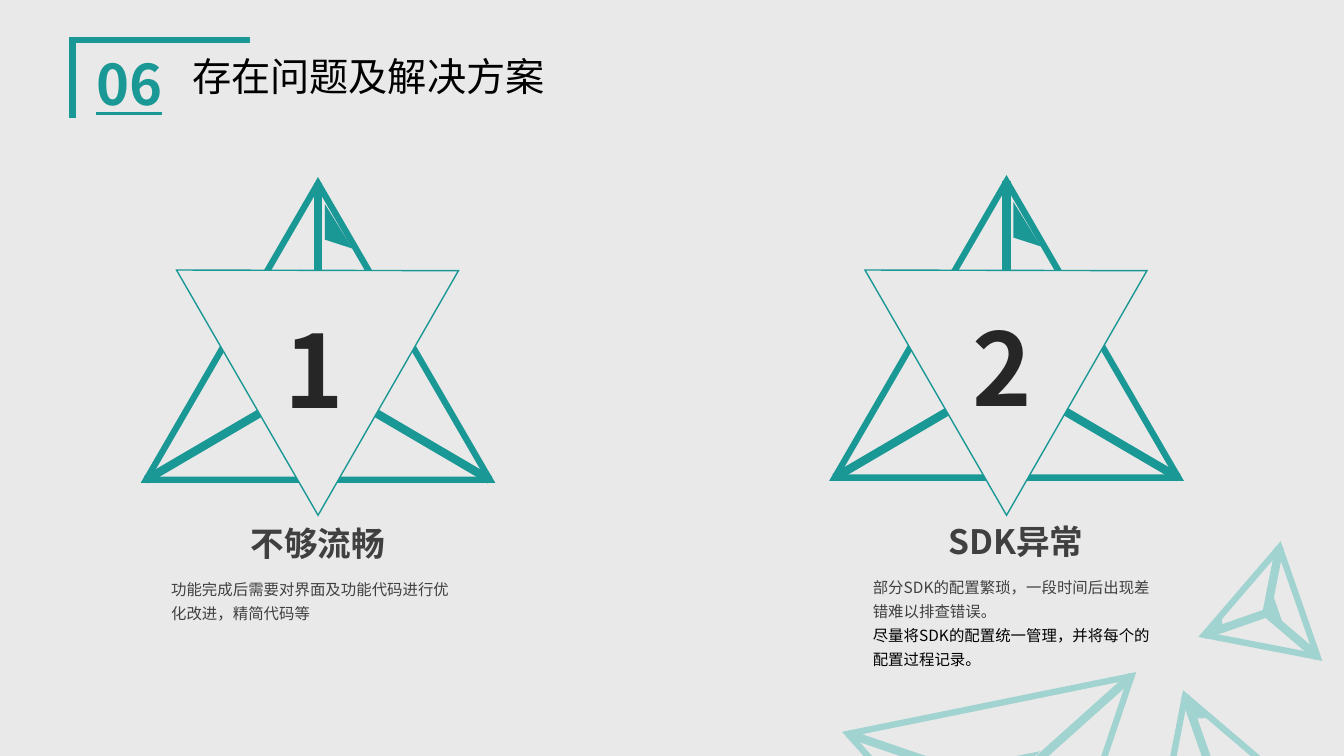
from dataclasses import dataclass
from math import cos, radians, sin

from lxml import etree
from pptx import Presentation
from pptx.dml.color import RGBColor
from pptx.enum.shapes import MSO_CONNECTOR, MSO_SHAPE
from pptx.enum.text import MSO_AUTO_SIZE, PP_ALIGN
from pptx.oxml.ns import qn
from pptx.util import Pt

STRAIGHT = MSO_CONNECTOR.STRAIGHT
TRIANGLE = MSO_SHAPE.ISOSCELES_TRIANGLE
GROW = MSO_AUTO_SIZE.SHAPE_TO_FIT_TEXT
CENTER = PP_ALIGN.CENTER


@dataclass(frozen=True)
class Theme:
    font: str = "Noto Sans CJK SC"
    back: str = "E9E9E9"
    teal: str = "1A9895"
    pale: str = "A1D3D0"
    black: str = "000000"
    dark: str = "262626"
    gray: str = "404040"
    label: int = 40
    title: int = 28
    digit: int = 72
    head: int = 24
    body: int = 11
    edge: float = 4.5
    spoke: int = 6
    thin: int = 1


THEME = Theme()
HUB = (0, 0.16)
TIPS = {"top": (0, -0.5), "left": (-0.5, 0.5), "right": (0.5, 0.5)}
FLAG = [(0.02, -0.31), (0.1, -0.28), (0.02, -0.43)]
CAP = {"y": 0.23, "w": 0.26, "h": 0.09}


def rgb(color):
    return RGBColor.from_string(color)


def paint(shape, fill=None, line=None, width=0):
    shape.shadow.inherit = False
    if fill:
        shape.fill.solid()
        shape.fill.fore_color.rgb = rgb(fill)
    else:
        shape.fill.background()
    if line:
        shape.line.color.rgb = rgb(line)
        shape.line.width = Pt(width)
        edge = shape.line._get_or_add_ln()
        etree.SubElement(edge, qn("a:miter")).set("lim", "800000")
    else:
        shape.line.fill.background()


def triangle(slide, box, turn, **look):
    shape = slide.shapes.add_shape(TRIANGLE, *map(Pt, box))
    shape.rotation = turn
    paint(shape, **look)


def trace(slide, dots, close, **look):
    dots = [(Pt(x), Pt(y)) for x, y in dots]
    pen = slide.shapes.build_freeform(*dots[0])
    pen.add_line_segments(dots[1:], close=close)
    paint(pen.convert_to_shape(), **look)


def link(slide, start, end, color):
    line = slide.shapes.add_connector(STRAIGHT, *map(Pt, (*start, *end)))
    line.line.color.rgb = rgb(color)
    line.line.width = Pt(THEME.spoke)
    etree.SubElement(line._element.spPr, qn("a:effectLst"))


def write(slide, box, lines, size, align=None, gap=None, wrap=True, **look):
    frame = slide.shapes.add_textbox(*map(Pt, box)).text_frame
    frame.word_wrap = wrap
    frame.auto_size = GROW
    for spot, (text, color) in enumerate(lines):
        para = frame.add_paragraph() if spot else frame.paragraphs[0]
        para.alignment = align
        para.line_spacing = gap
        run = para.add_run()
        run.text = text
        values = {"size": Pt(size), "name": THEME.font, **look}
        for name, value in values.items():
            setattr(run.font, name, value)
        run.font.color.rgb = rgb(color)
        asian = etree.SubElement(run._r.get_or_add_rPr(), qn("a:ea"))
        asian.set("typeface", THEME.font)


def pyramid(slide, box, color, turn=0, tips=tuple(TIPS), cap=True, flag=True, rim=None):
    x, y, w, h = box
    angle = radians(turn)

    def place(dot):
        dx, dy = dot[0] * w, dot[1] * h
        return (
            x + w / 2 + dx * cos(angle) - dy * sin(angle),
            y + h / 2 + dx * sin(angle) + dy * cos(angle),
        )

    triangle(slide, box, turn, fill=THEME.back, line=color, width=THEME.edge)
    for tip in tips:
        link(slide, place(TIPS[tip]), place(HUB), color)
    look = {"fill": color, "line": rim, "width": THEME.thin}
    if cap:
        mid, top = place((0, CAP["y"]))
        cw, ch = CAP["w"] * w, CAP["h"] * h
        triangle(slide, (mid - cw / 2, top - ch / 2, cw, ch), turn, **look)
    if flag:
        trace(slide, map(place, FLAG), True, **look)


def decor(slide):
    shards = [
        ((808.6, 494.6, 105.8, 90.7), {"turn": 340.7, "tips": ["top"], "cap": False}),
        ((621.4, 501.8, 206.6, 177.8), {"turn": 168.5, "tips": ["left", "right"], "flag": False}),
        ((852.5, 406.1, 82.8, 71.3), {"turn": 250.8}),
    ]
    for box, form in shards:
        pyramid(slide, box, THEME.pale, rim=THEME.pale, **form)


def header(slide, box):
    x, y, w, h = box
    bracket = [(x, y + h), (x, y), (x + w, y)]
    trace(slide, bracket, False, line=THEME.teal, width=THEME.edge)
    decor(slide)
    write(slide, (x + 10, y + 3, 68.4, 55.4), [("06", THEME.teal)],
          THEME.label, bold=True, underline=True)
    write(slide, (x + 78.5, y + 5, 296, 41), [("存在问题及解决方案", THEME.black)], THEME.title)


def panel(slide, box, digit, head, body, inset):
    x, y, w, h = box
    pyramid(slide, box, THEME.teal)
    triangle(slide, (x + 46.5, 149.8, 202.3, 174.2), 60,
             fill=THEME.back, line=THEME.teal, width=THEME.thin)
    write(slide, (x + 91.5, y + 85, 59, 94.3), [(digit, THEME.dark)],
          THEME.digit, wrap=False, bold=True)
    left, wide = inset["head"]
    write(slide, (x + left, y + h + 27.5, wide, 36), [(head, THEME.gray)],
          THEME.head, align=CENTER, bold=True)
    write(slide, (x + inset["body"], y + h + 64, 218.2, 42), body, THEME.body, gap=1.3)


def main():
    deck = Presentation()
    deck.slide_width, deck.slide_height = Pt(960), Pt(540)
    slide = deck.slides.add_slide(deck.slide_layouts[6])
    slide.background.fill.solid()
    slide.background.fill.fore_color.rgb = rgb(THEME.back)
    header(slide, (51.8, 28.8, 126.7, 55.4))
    panel(slide, (104.4, 131, 245.5, 211.7), "1", "不够流畅",
          [("功能完成后需要对界面及功能代码进行优化改进，精简代码等", THEME.gray)],
          {"head": (0, 245.5), "body": 10.8})
    panel(slide, (596.2, 129.5, 245.5, 211.7), "2", "SDK异常",
          [("部分SDK的配置繁琐，一段时间后出现差错难以排查错误。", THEME.gray),
           ("尽量将SDK的配置统一管理，并将每个的配置过程记录。", THEME.black)],
          {"head": (20.8, 217.4), "body": 20.2})
    deck.save("out.pptx")


if __name__ == "__main__":
    main()
